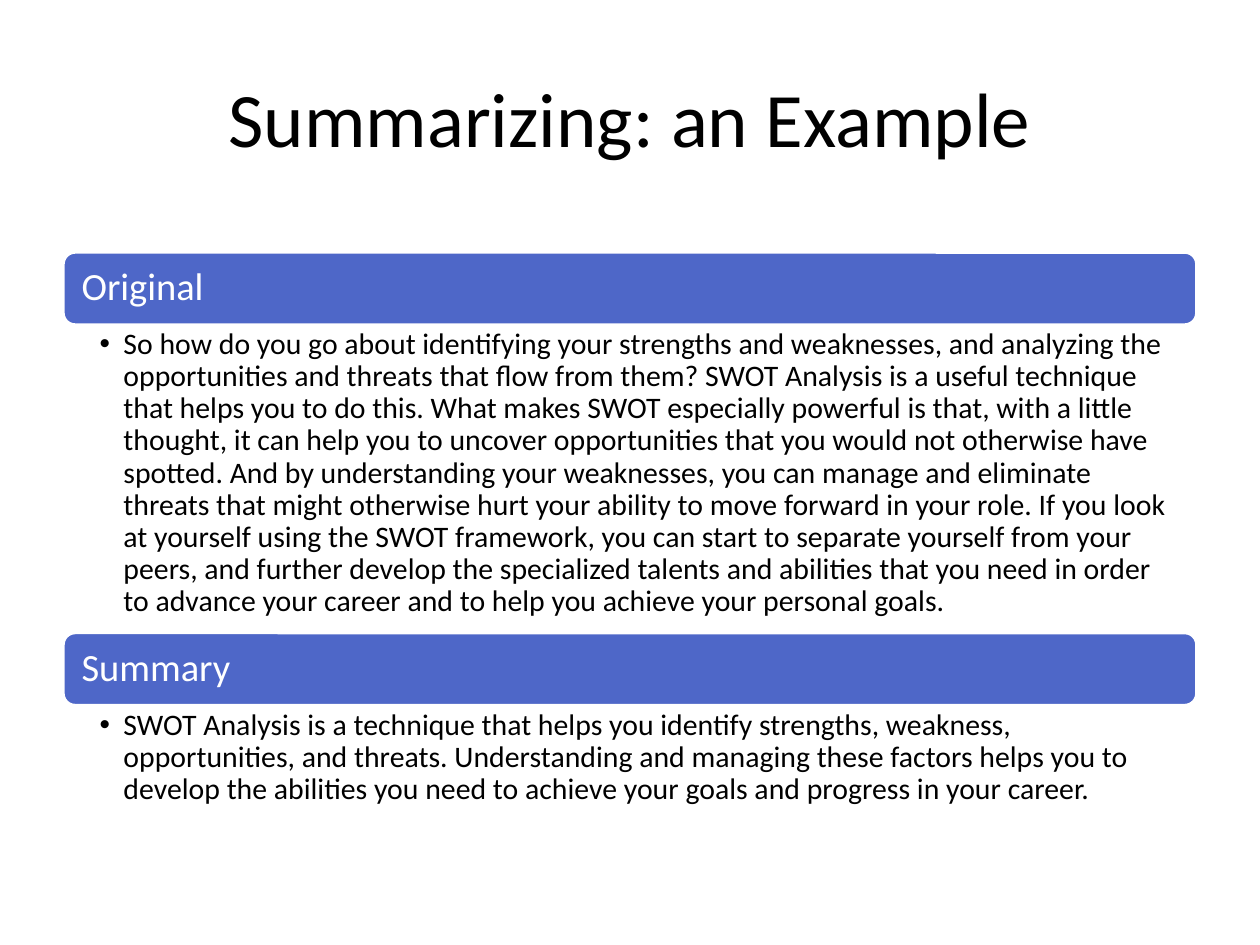
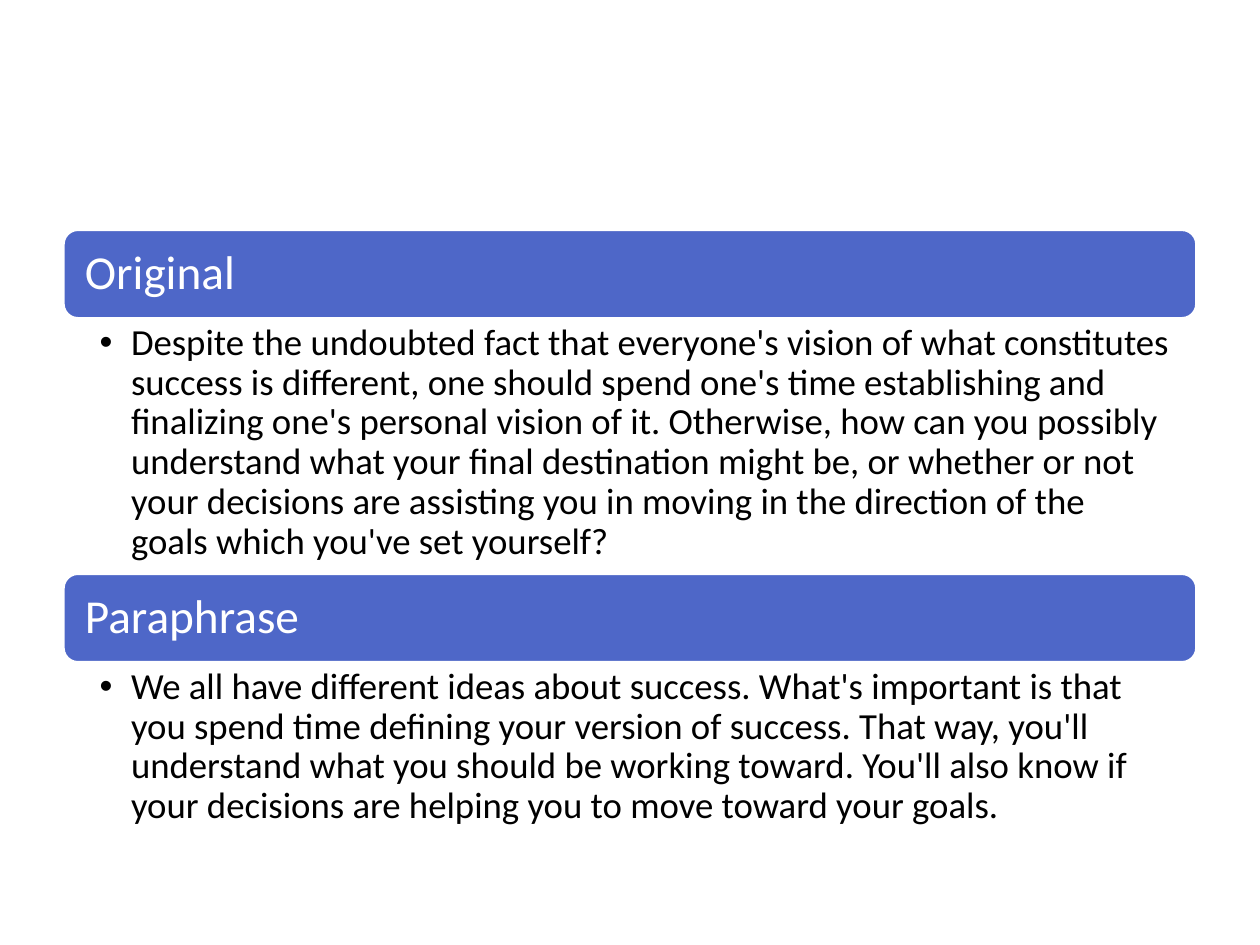
from dataclasses import dataclass

from lxml import etree
from pptx import Presentation
from pptx.dml.color import RGBColor
from pptx.enum.shapes import MSO_SHAPE
from pptx.enum.text import MSO_ANCHOR, PP_ALIGN
from pptx.oxml.ns import qn
from pptx.util import Inches, Pt

ROUNDED = MSO_SHAPE.ROUNDED_RECTANGLE
TOP, MIDDLE = MSO_ANCHOR.TOP, MSO_ANCHOR.MIDDLE
LEFT, CENTER = PP_ALIGN.LEFT, PP_ALIGN.CENTER
TITLE_ONLY, BLANK = 5, 6


@dataclass(frozen=True)
class Theme:
    font: str = "Calibri"
    band: RGBColor = RGBColor(0x4E, 0x67, 0xC8)
    light: RGBColor = RGBColor(0xFF, 0xFF, 0xFF)
    dark: RGBColor = RGBColor(0x00, 0x00, 0x00)
    title_size: int = 44
    margin: float = 0.5
    content_width: float = 9


@dataclass(frozen=True)
class ListScale:
    heading_size: int
    heading_height: float
    heading_inset: float
    body_size: int
    body_inset: float
    body_right_inset: float
    bullet_indent: float


COMPACT = ListScale(22, 0.58, 0.12, 17, 0.03, 0.17, 0.19)
LARGE = ListScale(27, 0.71, 0.14, 21, 0.04, 0.21, 0.25)


def write_text(shape, text, *, theme, size, color, align=LEFT, anchor=TOP,
               insets=(0.1, 0.05, 0.1, 0.05), line_spacing=0.9):
    frame = shape.text_frame
    frame.word_wrap = True
    frame.vertical_anchor = anchor
    (frame.margin_left, frame.margin_top,
     frame.margin_right, frame.margin_bottom) = map(Inches, insets)
    paragraph = frame.paragraphs[0]
    paragraph.alignment = align
    paragraph.line_spacing = line_spacing
    run = paragraph.add_run()
    run.text = text
    run.font.name = theme.font
    run.font.size = Pt(size)
    run.font.color.rgb = color
    return paragraph


def add_bullet(paragraph, indent):
    paragraph.level = 1
    properties = paragraph._p.get_or_add_pPr()
    properties.set("marL", str(Inches(indent)))
    properties.set("indent", str(-Inches(indent)))
    etree.SubElement(properties, qn("a:buFont")).set("typeface", "Arial")
    etree.SubElement(properties, qn("a:buChar")).set("char", "•")


class Deck:
    def __init__(self, theme):
        self.theme = theme
        self.presentation = Presentation()
        self.presentation.slide_width = Inches(10)
        self.presentation.slide_height = Inches(7.5)
        self.slide = None

    def add_slide(self, title=None):
        layout = TITLE_ONLY if title else BLANK
        self.slide = self.presentation.slides.add_slide(
            self.presentation.slide_layouts[layout])
        if title:
            self.title(title)

    def content_box(self, top, height):
        return (Inches(self.theme.margin), Inches(top),
                Inches(self.theme.content_width), Inches(height))

    def title(self, text):
        shape = self.slide.shapes.title
        shape.left, shape.top, shape.width, shape.height = self.content_box(0.3, 1.25)
        write_text(shape, text, theme=self.theme, size=self.theme.title_size,
                   color=self.theme.dark, align=CENTER, anchor=MIDDLE, line_spacing=1.0)

    def heading(self, text, top, scale):
        shape = self.slide.shapes.add_shape(
            ROUNDED, *self.content_box(top, scale.heading_height))
        shape.shadow.inherit = False
        shape.fill.solid()
        shape.fill.fore_color.rgb = self.theme.band
        shape.line.color.rgb = self.theme.light
        shape.line.width = Pt(2)
        write_text(shape, text, theme=self.theme, size=scale.heading_size,
                   color=self.theme.light, anchor=MIDDLE,
                   insets=(scale.heading_inset, 0, scale.heading_inset, 0))

    def body(self, text, top, height, scale):
        shape = self.slide.shapes.add_textbox(*self.content_box(top, height))
        paragraph = write_text(
            shape, text, theme=self.theme, size=scale.body_size, color=self.theme.dark,
            insets=(0.29, scale.body_inset, scale.body_right_inset, scale.body_inset))
        add_bullet(paragraph, scale.bullet_indent)

    def sections(self, top, scale, entries):
        for heading, text, body_height in entries:
            self.heading(heading, top, scale)
            top += scale.heading_height
            self.body(text, top, body_height, scale)
            top += body_height


SUMMARIZING = [
    ("Original",
     "So how do you go about identifying your strengths and weaknesses, and analyzing "
     "the opportunities and threats that flow from them? SWOT Analysis is a useful "
     "technique that helps you to do this. What makes SWOT especially powerful is that, "
     "with a little thought, it can help you to uncover opportunities that you would not "
     "otherwise have spotted. And by understanding your weaknesses, you can manage and "
     "eliminate threats that might otherwise hurt your ability to move forward in your "
     "role. If you look at yourself using the SWOT framework, you can start to separate "
     "yourself from your peers, and further develop the specialized talents and abilities "
     "that you need in order to advance your career and to help you achieve your personal "
     "goals.", 2.44),
    ("Summary",
     "SWOT Analysis is a technique that helps you identify strengths, weakness, "
     "opportunities, and threats. Understanding and managing these factors helps you to "
     "develop the abilities you need to achieve your goals and progress in your career.",
     0.85),
]

PARAPHRASING = [
    ("Original",
     "Despite the undoubted fact that everyone's vision of what constitutes success is "
     "different, one should spend one's time establishing and finalizing one's personal "
     "vision of it. Otherwise, how can you possibly understand what your final destination "
     "might be, or whether or not your decisions are assisting you in moving in the "
     "direction of the goals which you've set yourself?", 2.02),
    ("Paraphrase",
     "We all have different ideas about success. What's important is that you spend time "
     "defining your version of success. That way, you'll understand what you should be "
     "working toward. You'll also know if your decisions are helping you to move toward "
     "your goals.", 1.38),
]


def main():
    deck = Deck(Theme())
    deck.add_slide("Summarizing: an Example")
    deck.sections(2, COMPACT, SUMMARIZING)
    deck.add_slide()
    deck.sections(1.82, LARGE, PARAPHRASING)
    deck.presentation.save("out.pptx")


if __name__ == "__main__":
    main()
